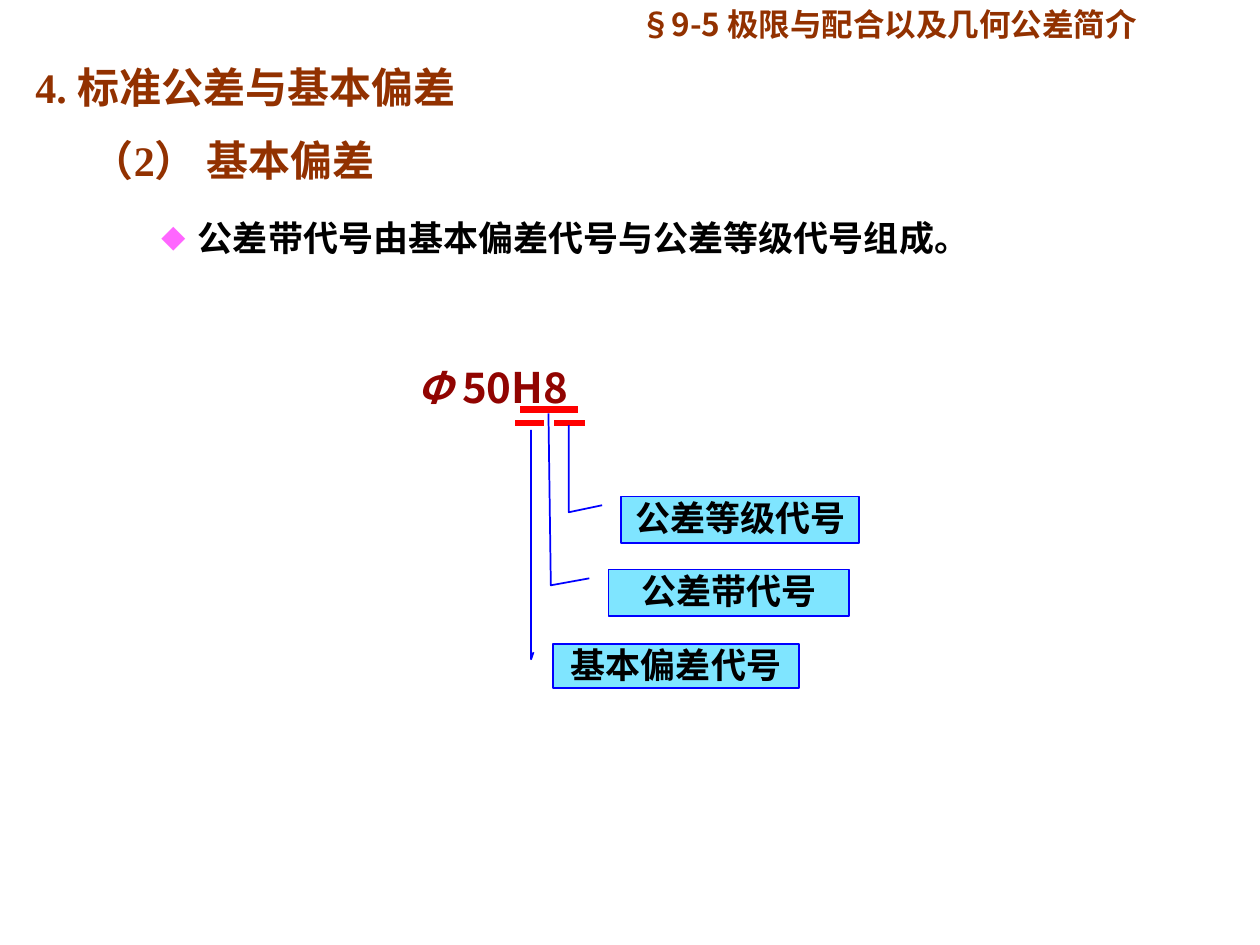
import pptx
import pptx.dml.color
import pptx.enum.shapes
import pptx.enum.text
import pptx.oxml
import pptx.oxml.ns
import pptx.util
from lxml import etree

Inches, Pt = pptx.util.Inches, pptx.util.Pt
qn = pptx.oxml.ns.qn
ALIGN, ANCHOR = pptx.enum.text.PP_ALIGN, pptx.enum.text.MSO_ANCHOR
SANS, SERIF = "Noto Sans CJK SC", "Times New Roman"
BROWN, MAROON, BLACK = "923100", "910401", "000000"
RED, BLUE, CYAN, PINK = "FF0000", "0000FF", "00CCFF", "FF66FF"


def rgb(hex_):
    return pptx.dml.color.RGBColor.from_string(hex_)


def write(sp, runs, size=20, font=SANS, color=BLACK, align=ALIGN.LEFT,
          anchor=ANCHOR.TOP, inset=(0, 0), before=0, spacing=None):
    """Fill a shape with one paragraph; runs is a string or (text, color, italic) tuples."""
    tf = sp.text_frame
    tf.word_wrap = True
    tf.vertical_anchor = anchor
    tf.margin_left = tf.margin_right = Inches(inset[0])
    tf.margin_top = tf.margin_bottom = Inches(inset[1])
    p = tf.paragraphs[0]
    p.alignment = align
    p.space_before = Pt(before)
    if spacing:
        p.line_spacing = spacing
    for text, run_color, italic in [(runs, color, False)] if isinstance(runs, str) else runs:
        r = p.add_run()
        r.text = text
        r.font.size, r.font.name = Pt(size), font
        r.font.bold, r.font.italic = True, italic
        r.font.color.rgb = rgb(run_color)
        ea = etree.SubElement(r.font._element, qn("a:ea"))
        ea.set("typeface", SANS)
    return p


class Deck:
    def __init__(self):
        self.prs = pptx.Presentation()
        self.prs.slide_width, self.prs.slide_height = Inches(10), Inches(7.5)
        self.s = self.prs.slides.add_slide(self.prs.slide_layouts[6])

    def text(self, box, runs, **fmt):
        sp = self.s.shapes.add_textbox(*map(Inches, box))
        return write(sp, runs, **fmt)

    def bullet(self, box, runs, indent, **fmt):
        pPr = self.text(box, runs, **fmt)._p.get_or_add_pPr()
        pPr.set("marL", str(Inches(indent)))
        pPr.set("indent", str(-Inches(indent)))
        color = etree.SubElement(pPr, qn("a:buClr"))
        etree.SubElement(color, qn("a:srgbClr")).set("val", PINK)
        etree.SubElement(pPr, qn("a:buSzPct")).set("val", "70000")
        etree.SubElement(pPr, qn("a:buFont")).set("typeface", SANS)
        etree.SubElement(pPr, qn("a:buChar")).set("char", "◆")

    def underline(self, x1, x2, y):
        c = self.s.shapes.add_connector(pptx.enum.shapes.MSO_CONNECTOR.STRAIGHT,
                                        *map(Inches, (x1, y, x2, y)))
        c.line.color.rgb, c.line.width = rgb(RED), Pt(3.5)
        etree.SubElement(c._element.spPr, qn("a:effectLst"))

    def callout(self, box, label, leader):
        """Label box whose leader bends at (x, y) and ends at (x, y), as shares of the box."""
        sp = self.s.shapes.add_shape(pptx.enum.shapes.MSO_SHAPE.LINE_CALLOUT_2,
                                     *map(Inches, box))
        sp.shadow.inherit = False
        (bend_x, bend_y), (end_x, end_y) = leader
        for i, value in enumerate((0.19, -0.08, bend_y, bend_x, end_y, end_x)):
            sp.adjustments[i] = value
        sp.fill.solid()
        sp.fill.fore_color.rgb = rgb(CYAN)
        clr = sp._element.spPr.find(qn("a:solidFill"))[0]
        etree.SubElement(clr, qn("a:alpha")).set("val", "50000")
        sp.line.color.rgb, sp.line.width = rgb(BLUE), Pt(1)
        write(sp, label, align=ALIGN.CENTER)


def main():
    d = Deck()
    d.text((5.08, 0.04, 4.1, 0.33), "§9-5 极限与配合以及几何公差简介",
           size=18, color=BROWN, before=4.5)
    heading = dict(size=24, font=SERIF, color=BROWN, anchor=ANCHOR.MIDDLE)
    d.text((0.28, 0.5, 4.08, 0.42), "4. 标准公差与基本偏差", spacing=0.9, **heading)
    d.text((0.73, 1.06, 4.08, 0.42), "（2） 基本偏差", **heading)
    d.bullet((1.18, 1.57, 6.54, 0.54),
             [(" ", MAROON, False), ("公差带代号由基本偏差代号与公差等级代号组成。", BLACK, False)],
             indent=0.23, inset=(0.1, 0.05), spacing=1.3)
    d.text((3.21, 2.82, 1.53, 0.5), [("Φ ", MAROON, True), ("50H8", MAROON, False)],
           size=24, inset=(0.1, 0.05), before=15)

    for x1, x2, y in ((4.13, 4.59, 3.25), (4.09, 4.32, 3.36), (4.4, 4.64, 3.36)):
        d.underline(x1, x2, y)
    for box, label, leader in (
            ((4.93, 3.94, 1.89, 0.37), "公差等级代号", ((-0.22, 0.34), (-0.22, -1.53))),
            ((4.83, 4.52, 1.91, 0.37), "公差带代号", ((-0.24, 0.34), (-0.25, -3.35))),
            ((4.39, 5.11, 1.95, 0.35), "基本偏差代号", ((-0.09, 0.35), (-0.09, -4.85)))):
        d.callout(box, label, leader)
    d.prs.save("out.pptx")


if __name__ == "__main__":
    main()
